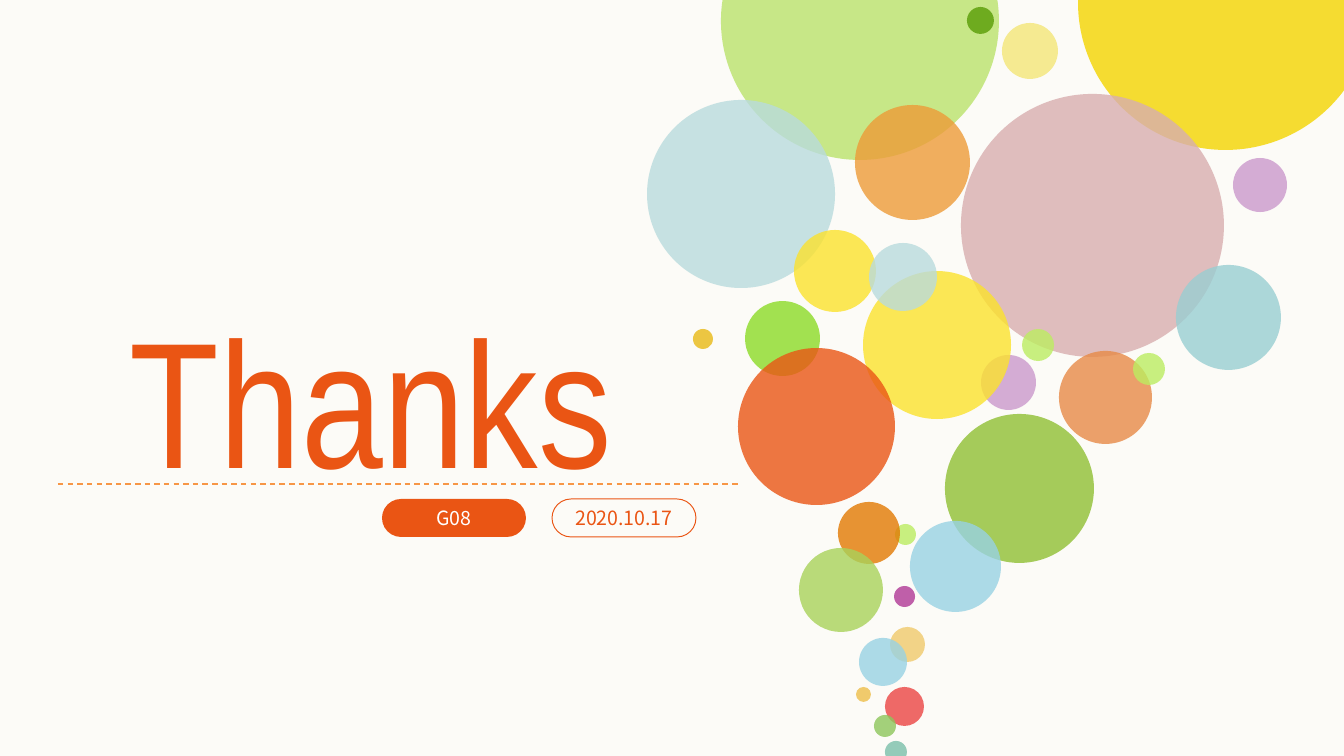
"""Builds a closing slide with a cloud of translucent bubbles."""
import pptx
import pptx.util
import pptx.dml.color
import pptx.enum.dml
import pptx.enum.shapes
import pptx.enum.text
import pptx.oxml.ns
import lxml.etree

SCALE = 914400 / 134.4
COLOURS = {
    "paper": "FCFBF7", "white": "FFFFFF", "orange": "EA5514", "rule": "F79646",
    "pale lime": "BAE36B", "forest": "6EAB1F", "mist": "B9DBDD", "apricot": "ED9B38",
    "cream": "F5EA91", "sun": "F4D500", "rose": "D8AEAF", "teal": "99CED2",
    "lilac": "CB99CC", "copper": "E78A47", "leaf": "A5CB5A", "lime": "BCED61",
    "lemon": "FBE22D", "grass": "8CDB27", "gold": "E9B915", "plum": "B03896",
    "sand": "F0CA6C", "jade": "7BBFAA", "red": "EB4544", "moss": "8DC65B",
    "sky": "98D2E3", "amber": "E27902", "olive": "A9D25A",
}
BUBBLES = [
    (721, -118, 278, "pale lime"), (967, 7, 27, "forest"), (647, 100, 188, "mist"),
    (855, 105, 115, "apricot"), (1002, 23, 56, "cream"), (1078, -145, 295, "sun"),
    (961, 94, 263, "rose"), (1176, 265, 105, "teal"), (1233, 158, 54, "lilac"),
    (1059, 351, 93, "copper"), (945, 414, 149, "leaf"), (1133, 353, 32, "lime"),
    (1022, 329, 32, "lime"), (981, 355, 55, "lilac"), (863, 271, 148, "lemon"),
    (794, 230, 82, "lemon"), (745, 301, 75, "grass"), (693, 329, 20, "gold"),
    (895, 524, 21, "lime"), (894, 586, 21, "plum"), (890, 627, 35, "sand"),
    (856, 687, 15, "sand"), (885, 741, 22, "jade"), (885, 687, 39, "red"),
    (874, 715, 22, "moss"), (859, 638, 48, "sky"), (869, 243, 68, "mist"),
    (910, 521, 91, "sky"), (838, 502, 62, "amber"), (799, 548, 84, "olive"),
    (738, 348, 157, "orange"),
]
OPAQUE = {"forest", "cream", "leaf"}
OPAQUE_SAND_SIZE = 15


def px(*lengths):
    """Turns pixels into EMU."""
    return [pptx.util.Emu(round(length * SCALE)) for length in lengths]


def colour(name):
    """Returns the named colour."""
    return pptx.dml.color.RGBColor.from_string(COLOURS[name])


def fill_solid(fill, name):
    """Fills with one named colour."""
    fill.solid()
    fill.fore_color.rgb = colour(name)


def add_bubble(page, left, top, size, name):
    """Adds a circle, translucent unless its kind is opaque."""
    oval = pptx.enum.shapes.MSO_SHAPE.OVAL
    bubble = page.shapes.add_shape(oval, *px(left, top, size, size))
    bubble.shadow.inherit = False
    bubble.line.fill.background()
    fill_solid(bubble.fill, name)
    if name not in OPAQUE and not (name == "sand" and size == OPAQUE_SAND_SIZE):
        tint = bubble.fill._xPr.find(".//" + pptx.oxml.ns.qn("a:srgbClr"))
        lxml.etree.SubElement(tint, pptx.oxml.ns.qn("a:alpha"), val="80000")


def set_text(shape, text, font, size, name):
    """Writes one formatted line into a shape."""
    frame = shape.text_frame
    frame.text = text
    span = frame.paragraphs[0].runs[0]
    span.font.size = pptx.util.Pt(size)
    span.font.color.rgb = colour(name)
    span.font.name = font
    east = lxml.etree.SubElement(span.font._element, pptx.oxml.ns.qn("a:ea"))
    east.set("typeface", font)


def add_title(page, text):
    """Adds the large title."""
    box = page.shapes.add_textbox(*px(130, 289, 536, 218))
    frame = box.text_frame
    frame.margin_left = frame.margin_right = 0
    frame.margin_top = frame.margin_bottom = 0
    frame.word_wrap = False
    frame.auto_size = pptx.enum.text.MSO_AUTO_SIZE.SHAPE_TO_FIT_TEXT
    set_text(box, text, "Arial Narrow", 96, "orange")


def add_rule(page, left, right, y):
    """Adds the dashed rule under the title."""
    straight = pptx.enum.shapes.MSO_CONNECTOR.STRAIGHT
    rule = page.shapes.add_connector(straight, *px(left, y, right, y))
    rule.line.color.rgb = colour("rule")
    rule.line.width = pptx.util.Pt(0.75)
    rule.line.dash_style = pptx.enum.dml.MSO_LINE.DASH
    lxml.etree.SubElement(rule._element.spPr, pptx.oxml.ns.qn("a:effectLst"))


def add_pill(page, left, text, filled):
    """Adds a filled or outlined pill with a label."""
    rounded = pptx.enum.shapes.MSO_SHAPE.ROUNDED_RECTANGLE
    pill = page.shapes.add_shape(rounded, *px(left, 499, 144, 38))
    pill.adjustments[0] = 0.5
    pill.shadow.inherit = False
    if filled:
        fill_solid(pill.fill, "orange")
        pill.line.fill.background()
    else:
        pill.fill.background()
        pill.line.color.rgb = colour("orange")
        pill.line.width = pptx.util.Pt(0.5)
    set_text(pill, text, "Noto Sans CJK SC", 10.5, "white" if filled else "orange")
    pill.text_frame.vertical_anchor = pptx.enum.text.MSO_ANCHOR.MIDDLE
    pill.text_frame.paragraphs[0].alignment = pptx.enum.text.PP_ALIGN.CENTER


def main():
    """Builds and saves the deck."""
    deck = pptx.Presentation()
    deck.slide_width, deck.slide_height = px(1344, 756)
    page = deck.slides.add_slide(deck.slide_layouts[6])
    fill_solid(page.background.fill, "paper")
    for bubble in BUBBLES:
        add_bubble(page, *bubble)
    add_title(page, "Thanks")
    add_rule(page, 58, 738, 484)
    add_pill(page, 382, "G08", True)
    add_pill(page, 552, "2020.10.17", False)
    deck.save("out.pptx")


main()
